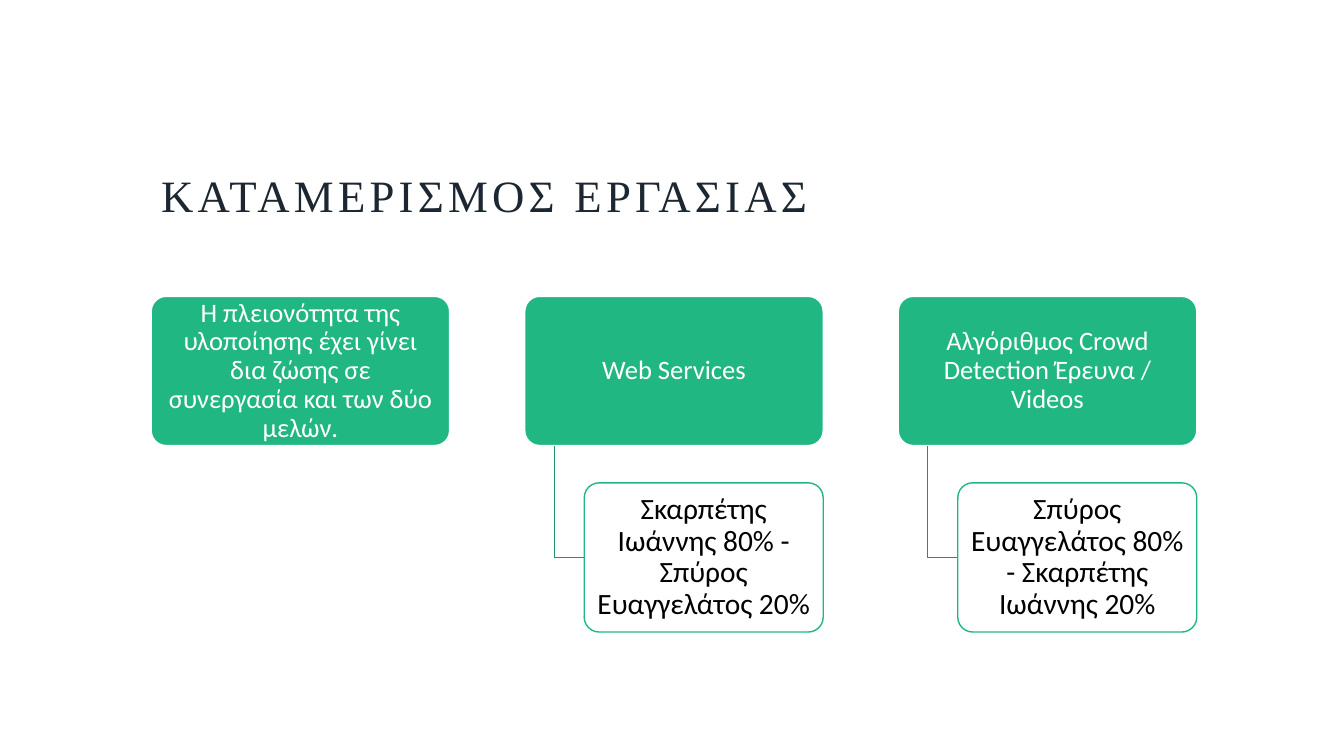
"""Build the slide that shows how the work was divided."""
from lxml.etree import SubElement
from pptx import Presentation
from pptx.dml.color import RGBColor
from pptx.enum.shapes import MSO_SHAPE as Shape
from pptx.enum.text import MSO_ANCHOR as Anchor, PP_ALIGN as Align
from pptx.oxml.ns import qn
from pptx.util import Pt

PX = 9144
WHITE = RGBColor(0xFF, 0xFF, 0xFF)
BLACK = RGBColor(0x00, 0x00, 0x00)
NAVY = RGBColor(0x1C, 0x27, 0x32)
GREEN = RGBColor(0x21, 0xB7, 0x82)
DARK_GREEN = RGBColor(0x1A, 0x93, 0x68)

LEFT, TOP, STEP = 150, 294, 370.5
TASK_WIDTH, BOX_HEIGHT, INDENT = 296, 148, 59
PERSON_TOP = 479

TASKS = [
    ("Η πλειονότητα της υλοποίησης έχει γίνει δια ζώσης σε συνεργασία και των δύο μελών.", None),
    ("Web Services", "Σκαρπέτης Ιωάννης 80% - Σπύρος Ευαγγελάτος 20%"),
    ("Αλγόριθμος Crowd Detection Έρευνα / Videos", "Σπύρος Ευαγγελάτος 80% - Σκαρπέτης Ιωάννης 20%"),
]


def write(shape, text, font_name, size, color):
    frame = shape.text_frame
    frame.word_wrap = True
    frame.text = text
    paragraph = frame.paragraphs[0]
    paragraph.line_spacing = 0.9
    font = paragraph.runs[0].font
    font.name, font.size, font.color.rgb = font_name, Pt(size), color
    return paragraph


def add_box(left, top, width, text, size, fill, line, color):
    box = slide.shapes.add_shape(
        Shape.ROUNDED_RECTANGLE, round(left * PX), top * PX, width * PX, BOX_HEIGHT * PX)
    box.adjustments[0] = 0.1
    box.shadow.inherit = False
    box.fill.solid()
    box.fill.fore_color.rgb = fill
    box.line.color.rgb = line
    box.line.width = Pt(1)
    frame = box.text_frame
    frame.margin_left = frame.margin_right = 8 * PX
    frame.margin_top = frame.margin_bottom = 7 * PX
    frame.vertical_anchor = Anchor.MIDDLE
    write(box, text, "Calibri", size, color).alignment = Align.CENTER
    return box


presentation = Presentation()
presentation.slide_width = 1333 * PX
presentation.slide_height = 750 * PX
slide = presentation.slides.add_slide(presentation.slide_layouts[6])

title = slide.shapes.add_textbox(150 * PX, 75 * PX, 1038 * PX, 150 * PX)
title.text_frame.vertical_anchor = Anchor.BOTTOM
heading = write(title, "ΚΑΤΑΜΕΡΙΣΜΟΣ ΕΡΓΑΣΙΑΣ", "Times New Roman", 32, NAVY)
heading.runs[0].font._element.set("spc", "300")

for column, (task, people) in enumerate(TASKS):
    left = LEFT + column * STEP
    add_box(left, TOP, TASK_WIDTH, task, 19, GREEN, WHITE, WHITE)
    if people is None:
        continue

    person_left = left + INDENT
    branch_left = left + INDENT / 2
    branch_bottom = PERSON_TOP + BOX_HEIGHT / 2
    builder = slide.shapes.build_freeform(branch_left, TOP + BOX_HEIGHT, scale=PX)
    builder.add_line_segments(
        [(branch_left, branch_bottom), (person_left, branch_bottom)], close=False)
    branch = builder.convert_to_shape()
    branch.shadow.inherit = False
    branch.fill.background()
    branch.line.color.rgb = DARK_GREEN
    branch.line.width = Pt(1)

    person_box = add_box(person_left, PERSON_TOP, TASK_WIDTH - INDENT, people, 21, WHITE, GREEN, BLACK)
    fill_color = person_box._element.spPr.find(qn("a:solidFill")).find(qn("a:srgbClr"))
    SubElement(fill_color, qn("a:alpha"), val="90000")

presentation.save("out.pptx")
